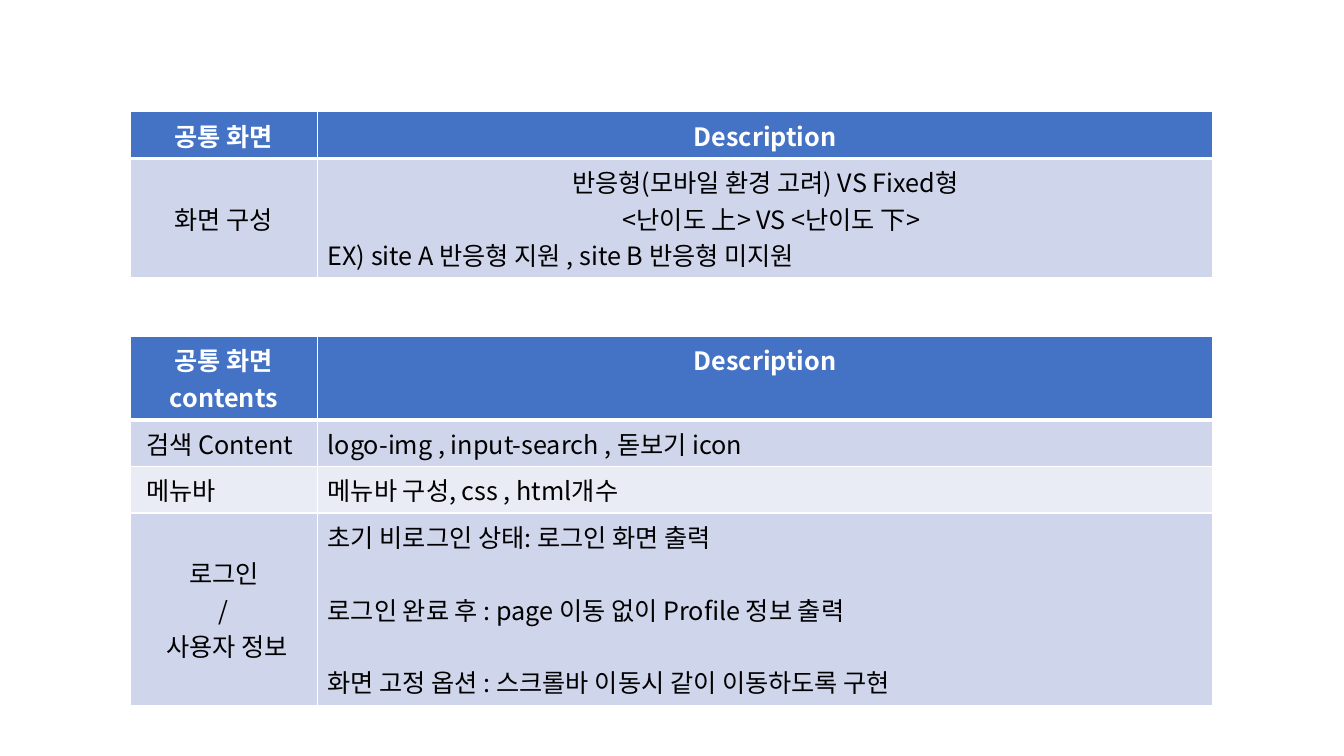
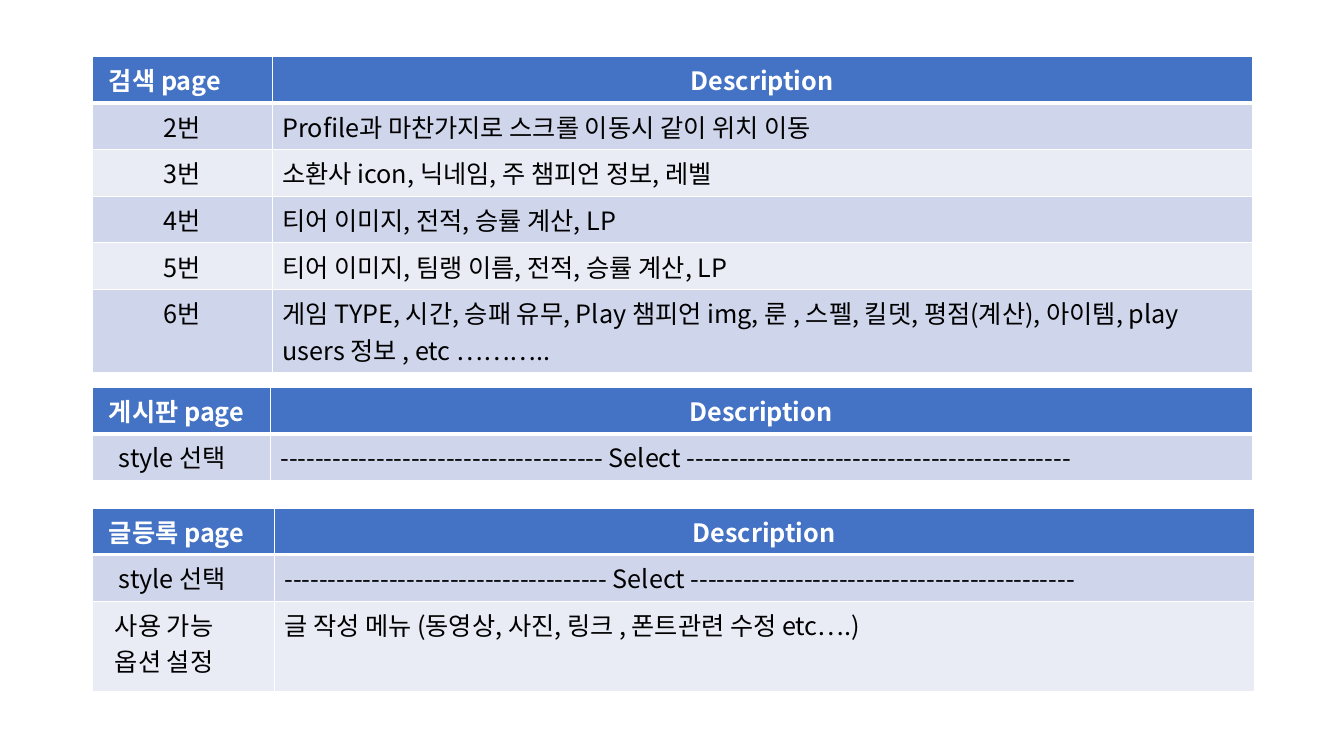
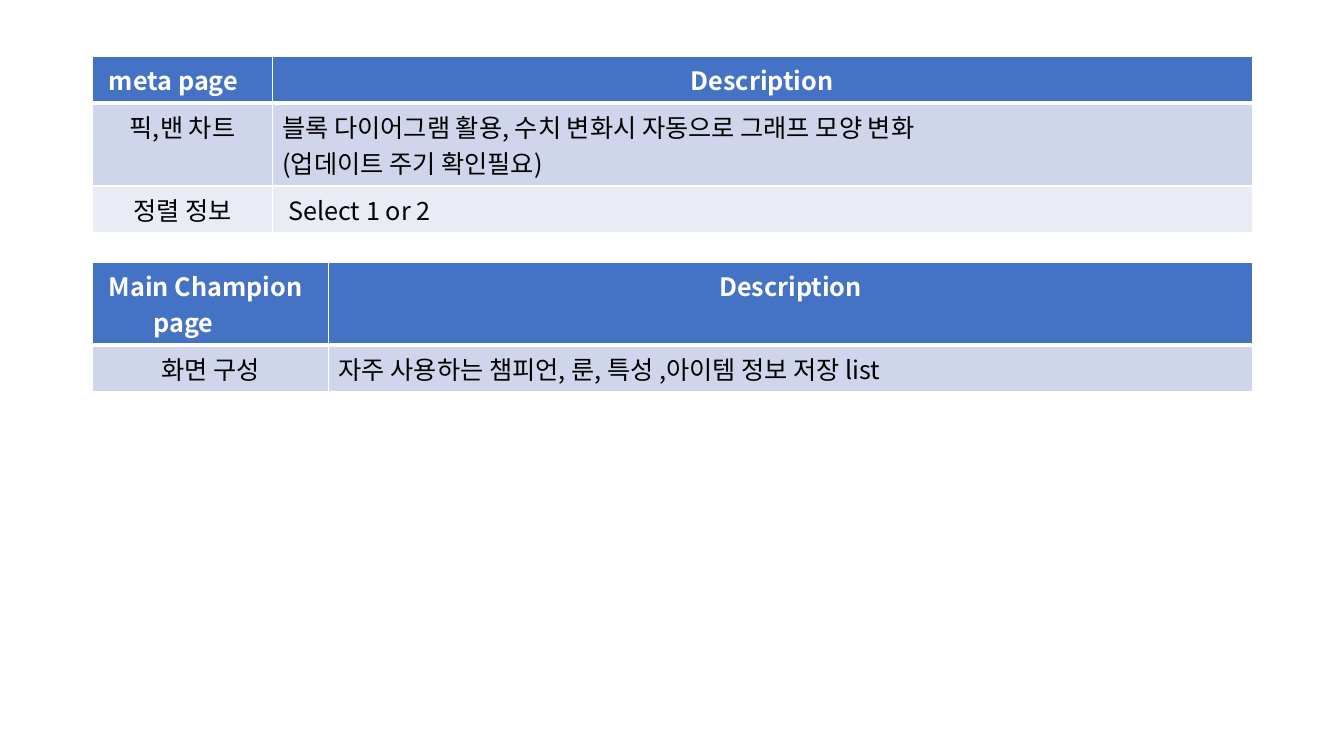
from dataclasses import dataclass

from lxml.etree import SubElement
from pptx import Presentation
from pptx.dml.color import RGBColor
from pptx.enum.text import MSO_ANCHOR, PP_ALIGN
from pptx.oxml import parse_xml
from pptx.oxml.ns import nsdecls, qn
from pptx.util import Inches, Pt

FONT, FONT_SIZE = "Noto Sans CJK KR", 18
WHITE, BLACK = "FFFFFF", "000000"
HEADER_FILL, BAND_FILLS = "4472C4", ("CFD5EA", "E9EBF5")
LINE_HEIGHT, CELL_PADDING = 0.36, 0.1
WIDE_LEFT, WIDE_WIDTH = 0.92, 11.5
NARROW_LEFT, NARROW_WIDTH = 1.29, 10.74


@dataclass
class Line:
    """One paragraph of a cell; indent in inches, gap in points."""
    text: str
    centered: bool = False
    indent: float = 0
    gap: float = 0


def center(text, indent=0):
    """Return a centred line."""
    return Line(text, True, indent)


@dataclass
class Row:
    """Label and description lines, with the number of text lines shown."""
    label: list
    description: list
    lines: float = 1
    middle: bool = False


@dataclass
class Grid:
    """A two-column table: its place, label column and rows."""
    top: float
    label_width: float
    rows: list
    left: float = WIDE_LEFT
    width: float = WIDE_WIDTH


def header(*label, lines=1):
    """Return a header row with the shared description heading."""
    return Row(list(label), [center("Description")], lines)


def style_row():
    """Return the row that leaves the page style open."""
    return Row([Line("style 선택", indent=0.16)],
               [Line("-" * 37 + " Select " + "-" * 44)])


COMMON_SCREEN = Grid(1.11, 1.86, [
    header(center("공통 화면")),
    Row([center("화면 구성")],
        [center("반응형(모바일 환경 고려) VS Fixed형"),
         center("<난이도 上> VS <난이도 下>", 0.12),
         Line("EX) site A 반응형 지원 , site B 반응형 미지원")], 3, True),
], NARROW_LEFT, NARROW_WIDTH)

COMMON_CONTENTS = Grid(3.34, 1.86, [
    header(center("공통 화면 contents"), lines=2),
    Row([Line("검색 Content", indent=0.06)],
        [Line("logo-img , input-search , 돋보기 icon")]),
    Row([Line("메뉴바", indent=0.06)], [Line("메뉴바 구성, css , html개수")]),
    Row([center("로그인"), center("/"), center("사용자 정보", 0.06)],
        [Line("초기 비로그인 상태: 로그인 화면 출력"),
         Line("로그인 완료 후 : page 이동 없이 Profile 정보 출력", gap=26),
         Line("화면 고정 옵션 : 스크롤바 이동시 같이 이동하도록 구현", gap=26)],
        5, True),
], NARROW_LEFT, NARROW_WIDTH)

SEARCH_PAGE = Grid(0.56, 1.78, [
    header(Line("검색 page", indent=0.06)),
    Row([center("2번")], [Line("Profile과 마찬가지로 스크롤 이동시 같이 위치 이동")]),
    Row([center("3번")], [Line("소환사 icon, 닉네임, 주 챔피언 정보, 레벨")]),
    Row([center("4번")], [Line("티어 이미지, 전적, 승률 계산, LP")]),
    Row([center("5번")], [Line("티어 이미지, 팀랭 이름, 전적, 승률 계산, LP")]),
    Row([center("6번")],
        [Line("게임 TYPE, 시간, 승패 유무, Play 챔피언 img, 룬 , 스펠, 킬뎃, "
              "평점(계산), 아이템, play users 정보 , etc ………..")], 2),
])

BOARD_PAGE = Grid(3.84, 1.76, [
    header(Line("게시판 page", indent=0.06)), style_row(),
])

POST_PAGE = Grid(5.04, 1.8, [
    header(Line("글등록 page", indent=0.06)),
    style_row(),
    Row([Line("사용 가능", indent=0.12), Line("옵션 설정", indent=0.12)],
        [Line("글 작성 메뉴 (동영상, 사진, 링크 , 폰트관련 수정 etc….)")], 2.2),
], width=11.52)

META_PAGE = Grid(0.56, 1.78, [
    header(Line("meta page", indent=0.06)),
    Row([center("픽,밴 차트")],
        [Line("블록 다이어그램 활용, 수치 변화시 자동으로 그래프 모양 변화"),
         Line("(업데이트 주기 확인필요)")], 2),
    Row([center("정렬 정보")], [Line("Select 1 or 2", indent=0.06)]),
])

CHAMPION_PAGE = Grid(2.6, 2.34, [
    header(Line("Main Champion", indent=0.06), Line("page", indent=0.5), lines=2),
    Row([center("화면 구성")],
        [Line("자주 사용하는 챔피언, 룬, 특성 ,아이템 정보 저장 list")]),
])

SLIDES = [
    [COMMON_SCREEN, COMMON_CONTENTS],
    [SEARCH_PAGE, BOARD_PAGE, POST_PAGE],
    [META_PAGE, CHAMPION_PAGE],
]


def color(value):
    """Turn a hex string into a colour."""
    return RGBColor.from_string(value)


def write_line(paragraph, line, is_header):
    """Fill one paragraph with a styled run."""
    paragraph.alignment = PP_ALIGN.CENTER if line.centered else PP_ALIGN.LEFT
    paragraph.space_before = Pt(line.gap)
    if line.indent:
        properties = paragraph._p.get_or_add_pPr()
        properties.set("marL", str(Inches(line.indent)))
        properties.set("indent", "0")
    run = paragraph.add_run()
    run.text = line.text
    run.font.name = FONT
    run.font.size = Pt(FONT_SIZE)
    run.font.bold = is_header
    run.font.color.rgb = color(WHITE if is_header else BLACK)
    SubElement(run._r.get_or_add_rPr(), qn("a:ea")).set("typeface", FONT)


def set_borders(cell, row_index):
    """Draw white borders, with a thicker rule below the header."""
    widths = {"lnL": 1, "lnR": 1, "lnT": 3 if row_index == 1 else 1,
              "lnB": 3 if row_index == 0 else 1}
    properties = cell._tc.get_or_add_tcPr()
    for position, (side, width) in enumerate(widths.items()):
        properties.insert(position, parse_xml(
            f'<a:{side} {nsdecls("a")} w="{Pt(width)}"><a:solidFill>'
            f'<a:srgbClr val="{WHITE}"/></a:solidFill></a:{side}>'))


def fill_cell(cell, lines, row_index, middle):
    """Set the fill, borders and text of one cell."""
    is_header = row_index == 0
    cell.fill.solid()
    cell.fill.fore_color.rgb = color(
        HEADER_FILL if is_header else BAND_FILLS[(row_index - 1) % 2])
    set_borders(cell, row_index)
    cell.vertical_anchor = MSO_ANCHOR.MIDDLE if middle else MSO_ANCHOR.TOP
    frame = cell.text_frame
    for index, line in enumerate(lines):
        paragraph = frame.add_paragraph() if index else frame.paragraphs[0]
        write_line(paragraph, line, is_header)


def add_grid(slide, grid):
    """Place one two-column table on the slide."""
    heights = [CELL_PADDING + LINE_HEIGHT * row.lines for row in grid.rows]
    table = slide.shapes.add_table(
        len(grid.rows), 2, Inches(grid.left), Inches(grid.top),
        Inches(grid.width), Inches(sum(heights))).table
    table.first_row = table.horz_banding = False
    table.columns[0].width = Inches(grid.label_width)
    table.columns[1].width = Inches(grid.width - grid.label_width)
    for index, (row, height) in enumerate(zip(grid.rows, heights)):
        table.rows[index].height = Inches(height)
        fill_cell(table.cell(index, 0), row.label, index, row.middle)
        fill_cell(table.cell(index, 1), row.description, index, False)


presentation = Presentation()
presentation.slide_width, presentation.slide_height = Inches(13.33), Inches(7.5)
for grids in SLIDES:
    slide = presentation.slides.add_slide(presentation.slide_layouts[6])
    for grid in grids:
        add_grid(slide, grid)
presentation.save("out.pptx")
